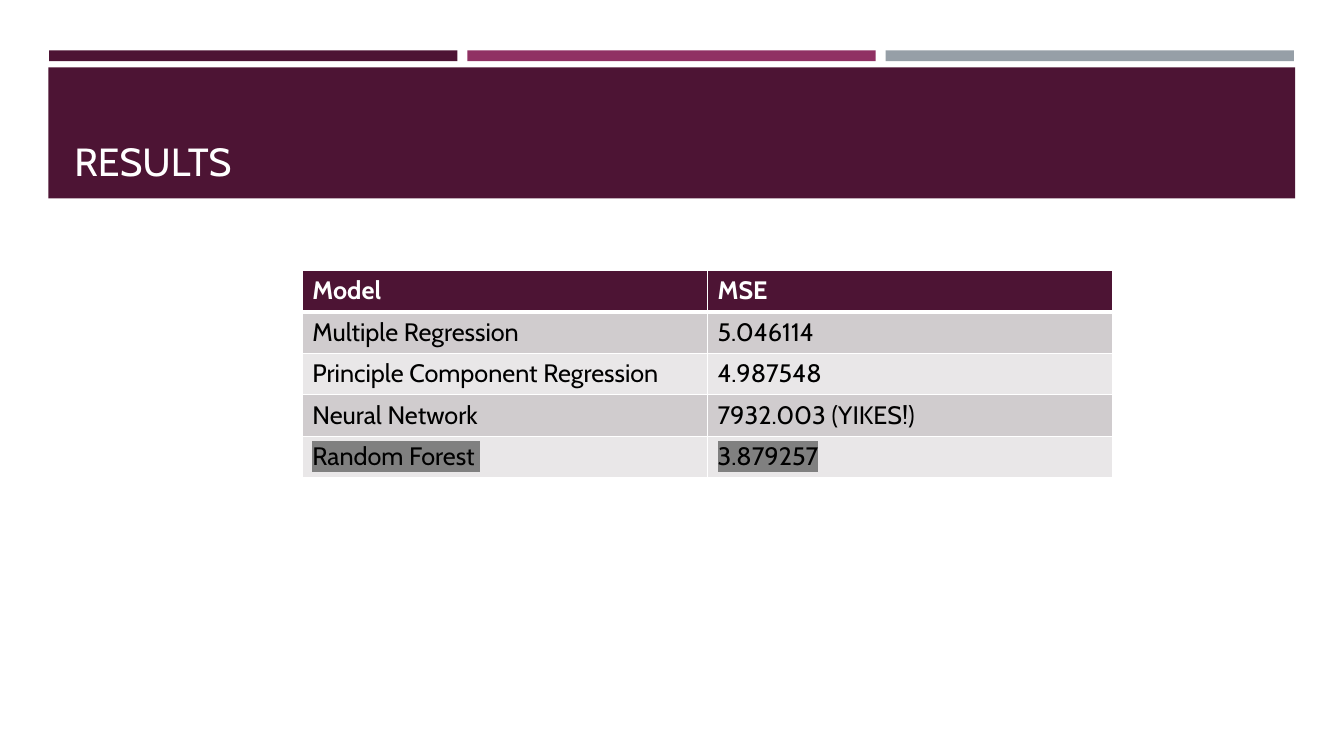
from dataclasses import dataclass

from lxml import etree
from pptx import Presentation
from pptx.dml.color import RGBColor
from pptx.enum import shapes, text
from pptx.oxml import ns
from pptx.util import Cm, Pt


@dataclass(frozen=True)
class Theme:
    font: str = "Cabin"
    title_size: int = 28
    table_size: int = 18
    plum: str = "4D1434"
    berry: str = "903163"
    slate: str = "969FA7"
    white: str = "FFFFFF"
    black: str = "000000"
    dark_row: str = "D0CCCE"
    light_row: str = "E9E7E8"
    highlight: str = "808080"


THEME = Theme()
RESULTS = [
    ("Model", "MSE"),
    ("Multiple Regression", "5.046114"),
    ("Principle Component Regression", "4.987548"),
    ("Neural Network", "7932.003 (YIKES!)"),
    ("Random Forest ", "3.879257"),
]
BEST_ROW = 4


def style_font(font, size, color, bold=False):
    font.name = THEME.font
    font.size = Pt(size)
    font.bold = bold
    font.color.rgb = RGBColor.from_string(color)


def add_block(page, box, color):
    block = page.shapes.add_shape(shapes.MSO_SHAPE.RECTANGLE, *map(Cm, box))
    block.shadow.inherit = False
    block.fill.solid()
    block.fill.fore_color.rgb = RGBColor.from_string(color)
    block.line.fill.background()


def add_accent_bars(page, box):
    left, top, width, height = box
    gap = 0.25
    bar_width = (width - 2 * gap) / 3
    for index, color in enumerate((THEME.plum, THEME.berry, THEME.slate)):
        bar_left = left + index * (bar_width + gap)
        add_block(page, (bar_left, top, bar_width, height), color)


def add_title_band(page, box, wording):
    left, top, width, height = box
    add_block(page, box, THEME.plum)

    title = page.shapes.title
    title.left, title.top = Cm(left + 0.4), Cm(top + 0.25)
    title.width, title.height = Cm(width - 0.8), Cm(height - 0.48)
    frame = title.text_frame
    frame.text = wording
    frame.auto_size = text.MSO_AUTO_SIZE.NONE
    frame.vertical_anchor = text.MSO_ANCHOR.BOTTOM
    para = frame.paragraphs[0]
    para.alignment = text.PP_ALIGN.LEFT
    style_font(para.font, THEME.title_size, THEME.white)
    # Bring the title in front of its band
    title.element.getparent().append(title.element)


def add_fill_element(parent, tag, color):
    element = etree.SubElement(parent, ns.qn(tag))
    etree.SubElement(element, ns.qn("a:srgbClr"), val=color)
    return element


def set_borders(cell, bottom_width):
    properties = cell._tc.get_or_add_tcPr()
    widths = {"a:lnL": 1, "a:lnR": 1, "a:lnT": 1, "a:lnB": bottom_width}
    for position, (side, width) in enumerate(widths.items()):
        border = etree.Element(ns.qn(side), w=str(Pt(width)))
        add_fill_element(border, "a:solidFill", THEME.white)
        properties.insert(position, border)


def add_results_table(page, box, rows, best_row):
    frame = page.shapes.add_table(len(rows), len(rows[0]), *map(Cm, box))
    for row_index, values in enumerate(rows):
        header = row_index == 0
        if header:
            fill = THEME.plum
        else:
            fill = THEME.dark_row if row_index % 2 else THEME.light_row
        for column_index, value in enumerate(values):
            cell = frame.table.cell(row_index, column_index)
            cell.text = value
            cell.fill.solid()
            cell.fill.fore_color.rgb = RGBColor.from_string(fill)
            set_borders(cell, bottom_width=3 if header else 1)
            para = cell.text_frame.paragraphs[0]
            color = THEME.white if header else THEME.black
            style_font(para.font, THEME.table_size, color, header)
            if row_index == best_row:
                span = para.runs[0]
                add_fill_element(span._r.get_or_add_rPr(), "a:highlight", THEME.highlight)


def build_results_page(deck):
    title_only = deck.slide_layouts[5]
    page = deck.slides.add_slide(title_only)
    add_accent_bars(page, (1.24, 1.27, 31.37, 0.27))
    add_title_band(page, (1.22, 1.7, 31.42, 3.3), "RESULTS")
    add_results_table(page, (7.62, 6.81, 20.42, 5.23), RESULTS, BEST_ROW)


def main():
    deck = Presentation()
    deck.slide_width, deck.slide_height = Cm(33.87), Cm(19.05)
    build_results_page(deck)
    deck.save("out.pptx")


if __name__ == "__main__":
    main()
